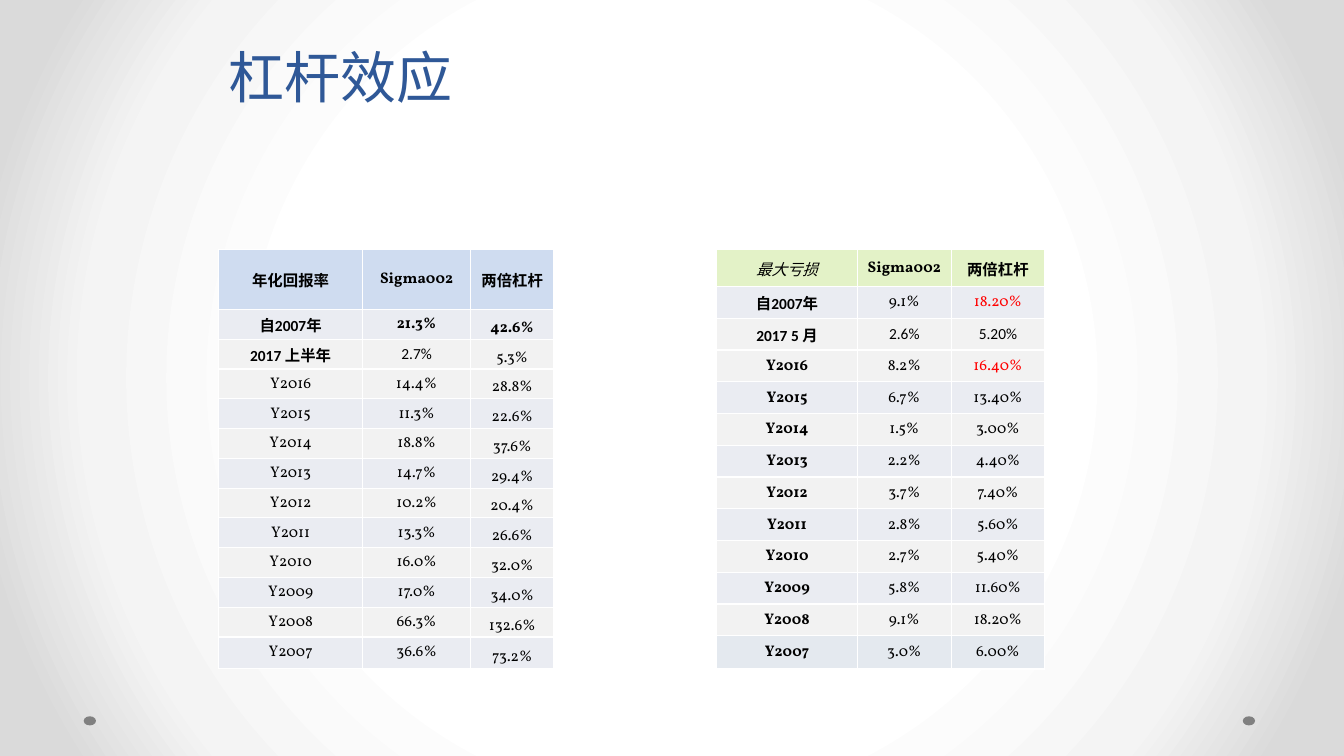
import pptx
import pptx.dml.color
import pptx.enum.shapes
import pptx.enum.text
import pptx.oxml
import pptx.oxml.ns
import pptx.util

Cm = pptx.util.Cm
Pt = pptx.util.Pt
RGBColor = pptx.dml.color.RGBColor
Anchor = pptx.enum.text.MSO_ANCHOR
Align = pptx.enum.text.PP_ALIGN

BLACK = RGBColor(0x00, 0x00, 0x00)
WHITE = RGBColor(0xFF, 0xFF, 0xFF)
RED = RGBColor(0xFF, 0x00, 0x00)
TITLE_BLUE = RGBColor(0x2F, 0x58, 0x97)
DOT_GREY = RGBColor(0x80, 0x80, 0x80)
HEAD_BLUE = RGBColor(0xCF, 0xDC, 0xF0)
HEAD_GREEN = RGBColor(0xE3, 0xF2, 0xC7)
BAND_LILAC = RGBColor(0xEA, 0xEC, 0xF2)
BAND_GREY = RGBColor(0xF2, 0xF2, 0xF2)
LAST_BLUE = RGBColor(0xE4, 0xE9, 0xEF)
GLOW = [(50, WHITE), (76, RGBColor(0xF4, 0xF4, 0xF4)), (92, RGBColor(0xDA, 0xDA, 0xDA))]

SERIF = "Vollkorn"
SANS = "Calibri"
DRAWING = pptx.oxml.ns.nsdecls("a")

RETURNS = [
    ("年化回报率", "Sigma002", "两倍杠杆"),
    ("自2007年", "21.3%", "42.6%"),
    ("2017 上半年", "2.7%", "5.3%"),
    ("Y2016", "14.4%", "28.8%"),
    ("Y2015", "11.3%", "22.6%"),
    ("Y2014", "18.8%", "37.6%"),
    ("Y2013", "14.7%", "29.4%"),
    ("Y2012", "10.2%", "20.4%"),
    ("Y2011", "13.3%", "26.6%"),
    ("Y2010", "16.0%", "32.0%"),
    ("Y2009", "17.0%", "34.0%"),
    ("Y2008", "66.3%", "132.6%"),
    ("Y2007", "36.6%", "73.2%"),
]
LOSSES = [
    ("最大亏损", "Sigma002", "两倍杠杆"),
    ("自2007年", "9.1%", "18.20%"),
    ("2017 5 月", "2.6%", "5.20%"),
    ("Y2016", "8.2%", "16.40%"),
    ("Y2015", "6.7%", "13.40%"),
    ("Y2014", "1.5%", "3.00%"),
    ("Y2013", "2.2%", "4.40%"),
    ("Y2012", "3.7%", "7.40%"),
    ("Y2011", "2.8%", "5.60%"),
    ("Y2010", "2.7%", "5.40%"),
    ("Y2009", "5.8%", "11.60%"),
    ("Y2008", "9.1%", "18.20%"),
    ("Y2007", "3.0%", "6.00%"),
]


def write(frame, text, font=SERIF, size=11, color=BLACK, bold=False, italic=False,
          align=Align.CENTER, spacing=None):
    para = frame.paragraphs[0]
    para.alignment = align
    if spacing:
        para.line_spacing = Pt(spacing)
    span = para.add_run()
    span.text = text
    span.font.name = font
    span.font.size = Pt(size)
    span.font.color.rgb = color
    span.font.bold = bold
    span.font.italic = italic


def returns_format(row, column):
    sans = {(0, 0), (1, 0), (2, 0), (2, 1)}
    return {"font": SANS if (row, column) in sans else SERIF,
            "bold": row < 2 or (row, column) == (2, 0)}


def losses_format(row, column):
    sans = {(0, 2), (1, 0), (2, 0), (2, 1), (2, 2)}
    corner = (row, column) == (0, 0)
    return {"font": SANS if (row, column) in sans else SERIF,
            "bold": (row == 0 or column == 0) and not corner,
            "italic": corner,
            "color": RED if (row, column) in {(1, 2), (3, 2)} else BLACK}


class Board:
    def __init__(self, page):
        self.page = page
        self.border_width = Pt(1)

    def background(self, stops):
        """Fill the page with a gradient that spreads from its centre."""
        self.page.background.fill.gradient()
        marks = "".join(f'<a:gs pos="{place * 1000}"><a:srgbClr val="{color}"/></a:gs>'
                        for place, color in stops)
        glow = pptx.oxml.parse_xml(
            f'<a:gradFill {DRAWING} rotWithShape="1"><a:gsLst>{marks}</a:gsLst><a:path path="circle">'
            '<a:fillToRect l="50000" t="50000" r="50000" b="50000"/></a:path></a:gradFill>')
        linear = next(self.page.element.iter(pptx.oxml.ns.qn("a:gradFill")))
        linear.getparent().replace(linear, glow)

    def dot(self, left, top):
        shape = self.page.shapes.add_shape(pptx.enum.shapes.MSO_SHAPE.OVAL,
                                           Cm(left), Cm(top), Cm(0.31), Cm(0.23))
        shape.shadow.inherit = False
        shape.fill.solid()
        shape.fill.fore_color.rgb = DOT_GREY
        shape.line.fill.background()

    def title(self, text, left, top, width, height):
        box = self.page.shapes.add_textbox(Cm(left), Cm(top), Cm(width), Cm(height))
        box.text_frame.word_wrap = True
        box.text_frame.vertical_anchor = Anchor.MIDDLE
        write(box.text_frame, text, size=40, color=TITLE_BLUE, align=Align.LEFT, spacing=58)

    def borders(self, cell):
        properties = cell._tc.get_or_add_tcPr()
        for place, side in enumerate(("lnL", "lnR", "lnT", "lnB")):
            properties.insert(place, pptx.oxml.parse_xml(
                f'<a:{side} {DRAWING} w="{self.border_width}"><a:solidFill>'
                f'<a:srgbClr val="{WHITE}"/></a:solidFill></a:{side}>'))

    def table(self, data, left, top, widths, heights, head, last, cell_format, last_anchor):
        """Draw a banded table; last is the bottom fill, last_anchor sets the last column."""
        grid = self.page.shapes.add_table(len(data), len(widths), Cm(left), Cm(top),
                                          Cm(sum(widths)), Cm(sum(heights))).table
        for column, width in zip(grid.columns, widths):
            column.width = Cm(width)
        for line, height in zip(grid.rows, heights):
            line.height = Cm(height)
        # Two grey rows meet at 2 and 3, so the banding restarts there.
        fills = [head, BAND_LILAC, BAND_GREY] + [BAND_GREY, BAND_LILAC] * 4 + [BAND_GREY, last]
        for row, values in enumerate(data):
            for column, text in enumerate(values):
                cell = grid.cell(row, column)
                cell.margin_left = cell.margin_right = cell.margin_top = Cm(0.02)
                cell.margin_bottom = 0
                bottom = row > 0 and column == len(widths) - 1
                cell.vertical_anchor = last_anchor if bottom else Anchor.MIDDLE
                cell.fill.solid()
                cell.fill.fore_color.rgb = fills[row]
                self.borders(cell)
                write(cell.text_frame, text, **cell_format(row, column))


def main():
    deck = pptx.Presentation()
    deck.slide_width = Cm(33.87)
    deck.slide_height = Cm(19.05)
    board = Board(deck.slides.add_slide(deck.slide_layouts[6]))
    board.background(GLOW)
    for left in (31.32, 2.11):
        board.dot(left, 18.05)
    board.table(RETURNS, 5.51, 6.28, [3.63, 2.72, 2.1], [1.52] + [0.75] * 11 + [0.79],
                HEAD_BLUE, BAND_LILAC, returns_format, Anchor.BOTTOM)
    board.title("杠杆效应", 5.51, 0, 22.86, 3.5)
    board.table(LOSSES, 18.06, 6.28, [3.55, 2.36, 2.36], [0.94] + [0.8] * 11 + [0.84],
                HEAD_GREEN, LAST_BLUE, losses_format, Anchor.MIDDLE)
    deck.save("out.pptx")


if __name__ == "__main__":
    main()
